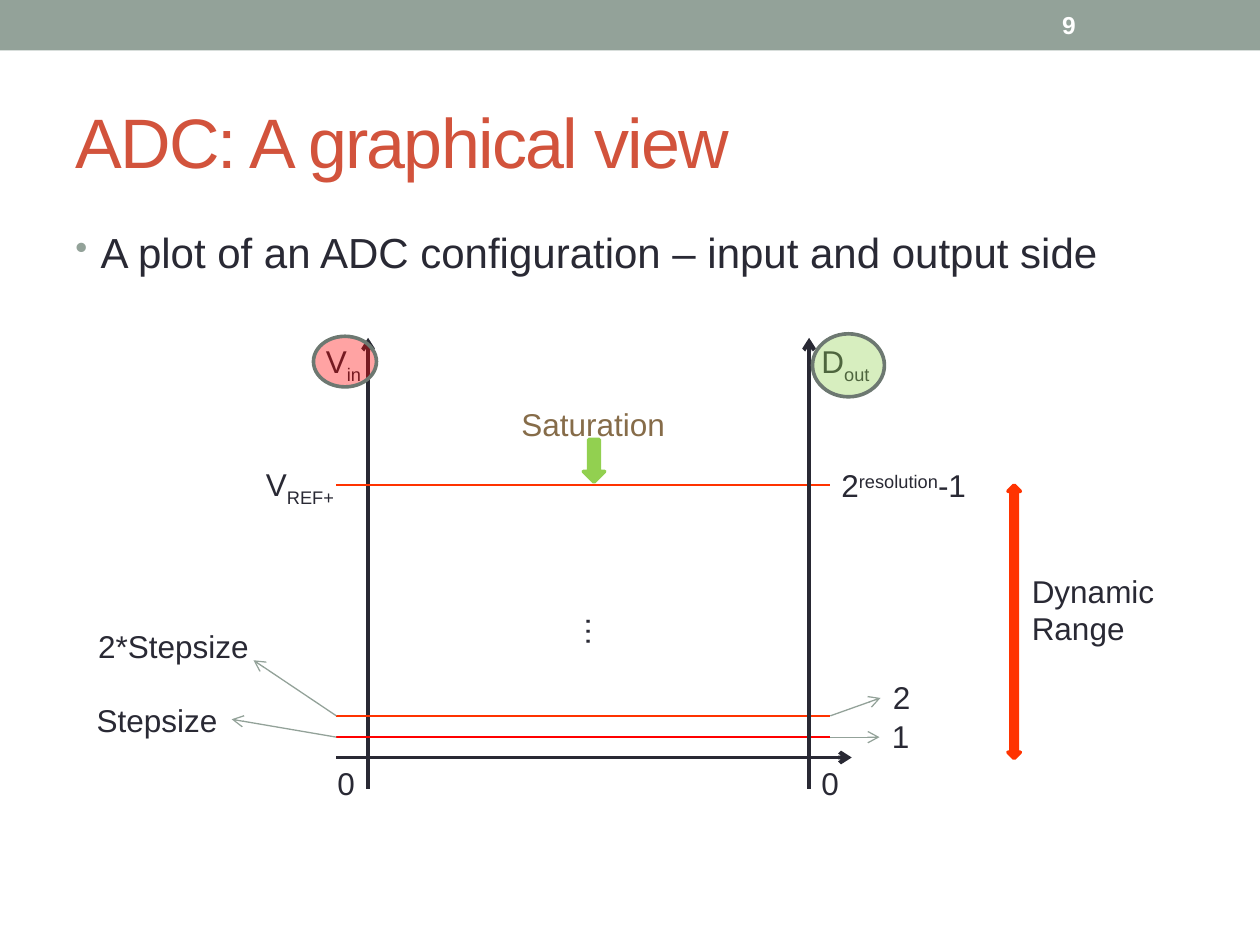
from lxml import etree
from pptx import Presentation, util as u
from pptx.dml.color import RGBColor
from pptx.enum import shapes, text as t
from pptx.oxml import ns

COLORS = {
    "band": "93A299", "title": "D2533C", "ink": "292934", "white": "FFFFFF",
    "red": "FF0000", "orange": "FF3300", "green": "92D050",
    "brown": "866C49", "outline": "6D7871",
}


def rgb(name):
    return RGBColor.from_string(COLORS[name])


def add_text(content, x, y, w, h, size=18, color="ink", bold=False, spacing=None,
             wrap=False, anchor=t.MSO_ANCHOR.TOP):
    """Content is a string, or a list of (string, baseline percent) runs."""
    sp = s.shapes.add_textbox(u.Cm(x), u.Cm(y), u.Cm(w), u.Cm(h))
    tf = sp.text_frame
    tf.word_wrap = wrap
    tf.vertical_anchor = anchor
    tf.auto_size = t.MSO_AUTO_SIZE.NONE if wrap else t.MSO_AUTO_SIZE.SHAPE_TO_FIT_TEXT
    if isinstance(content, str):
        paragraphs = [[(line, 0)] for line in content.split("\n")]
    else:
        paragraphs = [content]
    for i, runs in enumerate(paragraphs):
        p = tf.add_paragraph() if i else tf.paragraphs[0]
        for words, baseline in runs:
            r = p.add_run()
            r.text = words
            r.font.name = "Arial"
            r.font.size = u.Pt(size)
            r.font.bold = bold
            r.font.color.rgb = rgb(color)
            rPr = r._r.get_or_add_rPr()
            if baseline:
                rPr.set("baseline", str(baseline * 1000))
            if spacing:
                rPr.set("spc", str(spacing * 100))
    return sp


prs = Presentation()
prs.slide_width, prs.slide_height = u.Cm(25.4), u.Cm(19.05)
s = prs.slides.add_slide(prs.slide_layouts[6])

# Header band, title and page number
sp = s.shapes.add_shape(shapes.MSO_SHAPE.RECTANGLE, 0, 0, prs.slide_width, u.Cm(1.02))
sp.shadow.inherit = False
sp.fill.solid()
sp.fill.fore_color.rgb = rgb("band")
sp.line.fill.background()
add_text("ADC: A graphical view", 1.27, 1.47, 22.86, 2.74, size=40, color="title",
         spacing=-1, wrap=True, anchor=t.MSO_ANCHOR.MIDDLE)
add_text("9", 21.16, 0.05, 2.97, 0.91, size=14, color="white", bold=True,
         wrap=True, anchor=t.MSO_ANCHOR.MIDDLE)

# Bullet
sp = add_text("A plot of an ADC configuration – input and output side",
              1.27, 4.45, 22.86, 13.54, size=24, wrap=True)
p = sp.text_frame.paragraphs[0]
p.space_before = u.Pt(4.8)
pPr = p._p.get_or_add_pPr()
pPr.set("marL", str(u.Cm(0.51)))
pPr.set("indent", str(u.Cm(-0.51)))
buClr = etree.SubElement(pPr, ns.qn("a:buClr"))
etree.SubElement(buClr, ns.qn("a:srgbClr"), val=COLORS["band"])
etree.SubElement(pPr, ns.qn("a:buSzPct"), val="85000")
etree.SubElement(pPr, ns.qn("a:buChar"), char="•")

# Axes, levels and callout arrows
v_in, d_out, left, right = 7.42, 16.31, 6.78, 16.74
zero, step_1, step_2, full = 15.27, 14.86, 14.43, 9.78
lines = [  # x1, y1, x2, y2, colour, width, arrowhead
    (v_in, 15.9, v_in, 6.81, "ink", 2.25, True),
    (left, zero, 17.17, zero, "ink", 2.25, True),
    (left, step_1, right, step_1, "red", 1, False),
    (left, step_2, right, step_2, "orange", 1, False),
    (left, full, right, full, "orange", 1, False),
    (d_out, 15.9, d_out, 6.81, "ink", 2.25, True),
    (left, step_1, 4.67, 14.5, "band", 0.75, True),
    (left, step_2, 5.11, 13.31, "band", 0.75, True),
    (right, step_1, 17.73, step_1, "band", 0.75, True),
    (right, step_2, 17.75, 14.07, "band", 0.75, True),
]
for x1, y1, x2, y2, color, width, arrow in lines:
    c = s.shapes.add_connector(shapes.MSO_CONNECTOR.STRAIGHT,
                               u.Cm(x1), u.Cm(y1), u.Cm(x2), u.Cm(y2))
    c.line.color.rgb = rgb(color)
    c.line.width = u.Pt(width)
    if arrow:
        etree.SubElement(c.line._get_or_add_ln(), ns.qn("a:tailEnd"), type="arrow")
    etree.SubElement(c._element.spPr, ns.qn("a:effectLst"))

# Labels
labels = [
    ([("D", 0), ("out", -25)], 16.31, 6.78, 1.57, 1.02),
    ([("V", 0), ("in", -25)], 6.32, 6.78, 1.27, 1.02),
    ([("V", 0), ("REF+", -25)], 5.11, 9.25, 2.06, 1.02),
    ([("2", 0), ("resolution", 30), ("-1", 0)], 16.71, 9.27, 3.28, 1.02),
    ("0", 6.55, 15.27, 0.86, 1.02),
    ("0", 16.31, 15.27, 0.86, 1.02),
    ("Stepsize", 1.7, 14, 2.97, 1.02),
    ("2*Stepsize", 1.73, 12.52, 3.58, 1.02),
    ("1", 17.73, 14.33, 0.86, 1.02),
    ("2", 17.75, 13.54, 0.86, 1.02),
    ("Dynamic\nRange", 20.55, 11.4, 3, 1.8),
]
for label in labels:
    add_text(*label)
add_text("Saturation", 10.26, 8.05, 3.43, 1.02, color="brown")
sp = add_text("…", 11.13, 12.42, 1.27, 0.89)
sp.text_frame._txBody.bodyPr.set("vert", "vert270")

# Highlights and block arrows
M = shapes.MSO_SHAPE
marks = [  # shape, x, y, w, h, fill, line, opacity percent
    (M.UP_DOWN_ARROW, 20.32, 9.78, 0.25, 5.51, "orange", "orange", 100),
    (M.OVAL, 6.32, 6.78, 1.27, 1.02, "red", "outline", 36),
    (M.OVAL, 16.38, 6.73, 1.45, 1.27, "green", "outline", 36),
    (M.DOWN_ARROW, 11.76, 8.86, 0.43, 0.86, "green", "green", 100),
]
for kind, x, y, w, h, fill, line, opacity in marks:
    sp = s.shapes.add_shape(kind, u.Cm(x), u.Cm(y), u.Cm(w), u.Cm(h))
    sp.shadow.inherit = False
    sp.fill.solid()
    sp.fill.fore_color.rgb = rgb(fill)
    sp.line.color.rgb = rgb(line)
    sp.line.width = u.Pt(2.08)
    if opacity < 100:
        clr = sp._element.spPr.find(ns.qn("a:solidFill")).find(ns.qn("a:srgbClr"))
        etree.SubElement(clr, ns.qn("a:alpha"), val=str(opacity * 1000))

prs.save("out.pptx")
